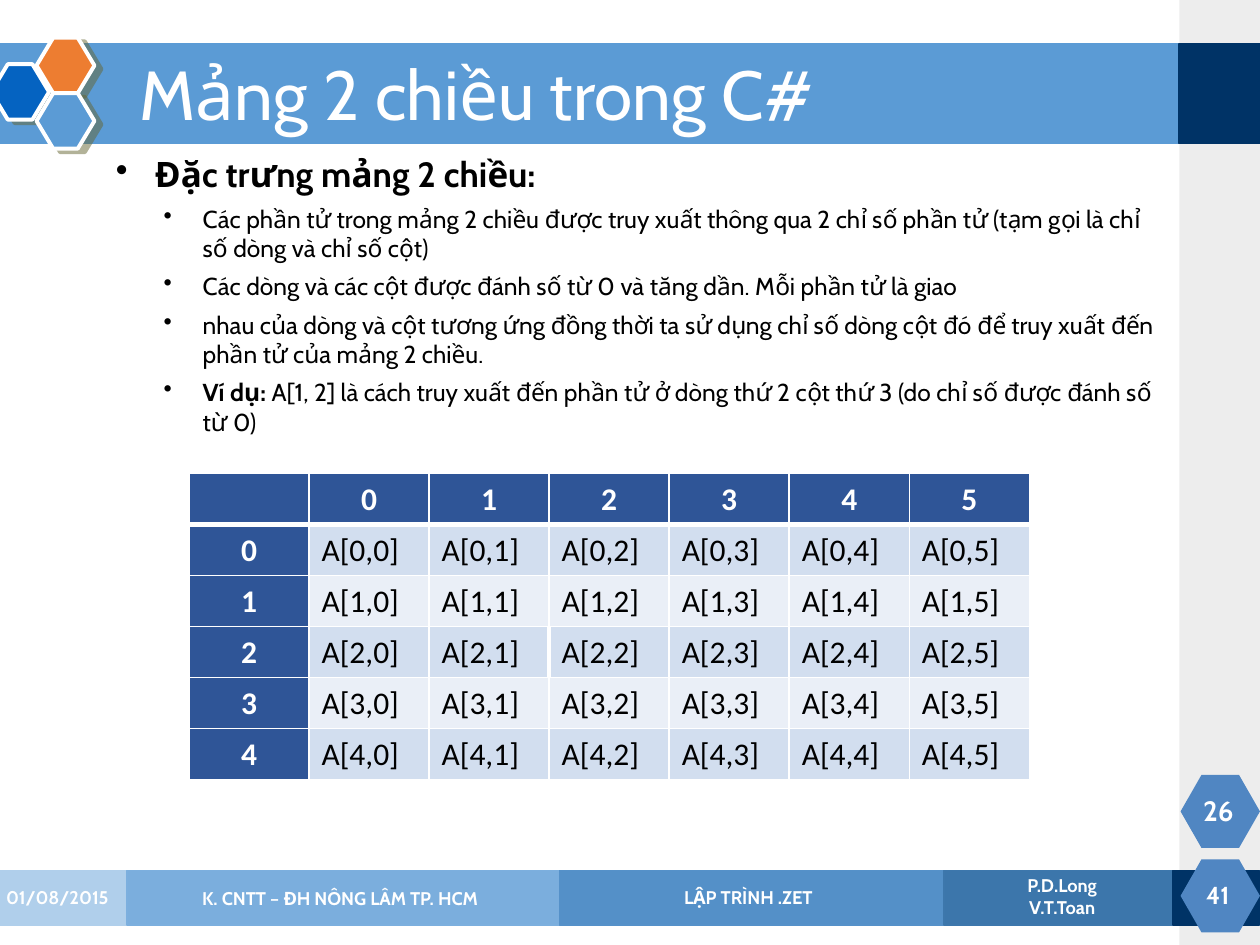
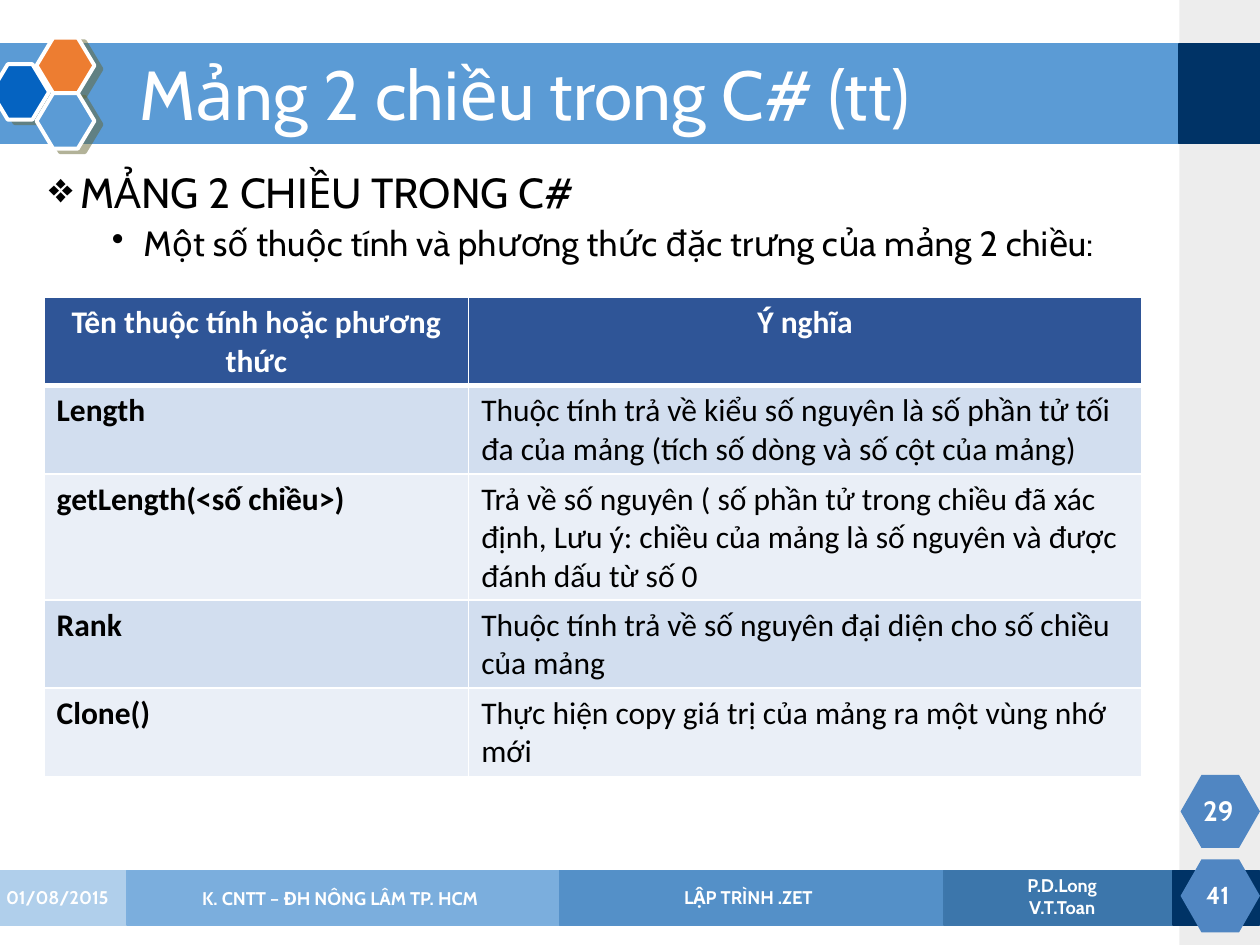
import pptx
import pptx.util
import pptx.dml.color
import pptx.enum.shapes
import pptx.enum.text
import pptx.oxml
import pptx.oxml.ns
from lxml import etree

Inches, Pt = pptx.util.Inches, pptx.util.Pt
SHAPE = pptx.enum.shapes.MSO_SHAPE
ALIGN = pptx.enum.text.PP_ALIGN
ANCHOR = pptx.enum.text.MSO_ANCHOR
qn = pptx.oxml.ns.qn

COLORS = {
    "white": "FFFFFF", "black": "000000", "gray": "A7A7A7",
    "blue": "5B9BD5", "navy": "003366", "royal": "0563C1",
    "orange": "ED7D31", "badge": "5086C2", "shadow": "666633",
    "header": "2F5597", "odd_row": "D2DEEF", "even_row": "EAEFF7",
    "date_band": "7CAFDE", "date_edge": "B0CFEB",
    "school_band": "478FD1", "school_edge": "7CAFDE",
    "course_band": "2E74B4", "course_edge": "5591C9",
    "author_band": "255D8F", "author_edge": "3D77AC",
}
TEXT_FONT, TABLE_FONT = "Cabin", "Calibri"


def rgb(name):
    return pptx.dml.color.RGBColor.from_string(COLORS[name])


def sub(parent, tag, **attrs):
    return etree.SubElement(parent, qn(tag), {k: str(v) for k, v in attrs.items()})


def set_font(font, size, color, bold=False, name=TEXT_FONT):
    font.name, font.size, font.bold = name, Pt(size), bold
    font.color.rgb = rgb(color)


# Shapes
def add_box(slide, kind, box, fill, line=None, width=1, alpha=None):
    sp = slide.shapes.add_shape(kind, *map(Inches, box))
    sp.shadow.inherit = False
    sp.fill.solid()
    sp.fill.fore_color.rgb = rgb(fill)
    if alpha:
        color = sp.fill._xPr.find(qn("a:solidFill"))[0]
        sub(color, "a:alpha", val=alpha * 1000)
    if line:
        sp.line.color.rgb = rgb(line)
        sp.line.width = Pt(width)
    else:
        sp.line.fill.background()
    return sp


def add_hexagon(slide, box, fill, adj, line=None):
    sp = add_box(slide, SHAPE.HEXAGON, box, fill, line, 2.25)
    sp.adjustments[0] = adj
    return sp


def add_shadow(sp):
    effects = sp._element.spPr.find(qn("a:effectLst"))
    shadow = sub(effects, "a:outerShdw", dist=Pt(4.5), dir=27 * 60000,
                 algn="ctr", rotWithShape=0)
    color = sub(shadow, "a:srgbClr", val=COLORS["shadow"])
    sub(color, "a:alpha", val=50000)


# Text
def add_text_frame(slide, box, anchor=ANCHOR.MIDDLE):
    tf = slide.shapes.add_textbox(*map(Inches, box)).text_frame
    tf.word_wrap = True
    tf.vertical_anchor = anchor
    return tf


def add_label(slide, box, lines, size=10.5, align=ALIGN.CENTER):
    tf = add_text_frame(slide, box)
    tf.text = "\n".join(lines)
    for p in tf.paragraphs:
        p.alignment = align
        set_font(p.font, size, "white", True)


def add_title(slide, text):
    tf = add_text_frame(slide, (1.01, 0.4, 8.3, 0.75))
    p = tf.paragraphs[0]
    p.text, p.line_spacing = text, 0.9
    set_font(p.font, 39.6, "white")


def add_bullet(tf, runs, size, left, hang, level=1, char="•",
               spacing=None, before=5):
    """Add one bulleted paragraph; runs are (text, bold) pairs."""
    p = tf.paragraphs[0] if not tf.paragraphs[0].runs else tf.add_paragraph()
    p.level, p.space_before = level, Pt(before)
    if spacing:
        p.line_spacing = spacing
    pPr = p._p.get_or_add_pPr()
    pPr.set("marL", str(Inches(left)))
    pPr.set("indent", str(-Inches(hang)))
    sub(pPr, "a:buChar", char=char)
    set_font(p.font, size, "black")
    for text, bold in runs:
        r = p.add_run()
        r.text, r.font.bold = text, bold


# Tables
def set_borders(cell, widths):
    tcPr = cell._tc.get_or_add_tcPr()
    for side in "LRTB":
        ln = sub(tcPr, "a:ln" + side, w=Pt(widths.get(side, 1)))
        sub(sub(ln, "a:solidFill"), "a:srgbClr", val=COLORS["white"])


def add_table(slide, left, top, cols, row_heights, rows, header_col, borders=None):
    """Header row on top; the first column is a header or just bold."""
    frame = slide.shapes.add_table(
        len(rows), len(cols), Inches(left), Inches(top),
        Inches(sum(cols)), Inches(sum(row_heights)))
    table = frame.table
    for column, width in zip(table.columns, cols):
        column.width = Inches(width)
    for row, height in zip(table.rows, row_heights):
        row.height = Inches(height)
    for i, values in enumerate(rows):
        for j, value in enumerate(values):
            cell = table.cell(i, j)
            is_header = i == 0 or (header_col and j == 0)
            widths = {0: {"B": 3}, 1: {"T": 3}}.get(i, {})
            set_borders(cell, (borders or {}).get((i, j), widths))
            cell.fill.solid()
            band = "odd_row" if i % 2 else "even_row"
            cell.fill.fore_color.rgb = rgb("header" if is_header else band)
            p = cell.text_frame.paragraphs[0]
            p.text = value
            p.alignment = ALIGN.CENTER if is_header else ALIGN.LEFT
            set_font(p.font, 18, "white" if is_header else "black",
                     is_header or j == 0, TABLE_FONT)


# Frame shared by the slides
def add_base(prs, title, number):
    slide = prs.slides.add_slide(prs.slide_layouts[6])
    add_box(slide, SHAPE.RECTANGLE, (9.36, 0, 0.64, 7.5), "gray", alpha=20)

    # Footer bands overlap, each running to the right edge
    for name, left, alpha in (("date", -0.02, 60), ("school", 1.01, 50),
                              ("course", 4.44, 50), ("author", 7.49, 50)):
        add_box(slide, SHAPE.RECTANGLE, (left, 6.91, 9.99 - left, 0.43),
                name + "_band", name + "_edge", alpha=alpha)

    # Title band and honeycomb
    add_box(slide, SHAPE.RECTANGLE, (-0.02, 0.35, 9.38, 0.79), "blue", "blue")
    add_box(slide, SHAPE.RECTANGLE, (9.36, 0.35, 0.64, 0.79), "navy", "navy")
    for left, top, fill in ((-0.07, 0.51, "royal"), (0.29, 0.3, "orange"),
                            (0.29, 0.74, "blue")):
        add_shadow(add_hexagon(slide, (left, top, 0.46, 0.44), fill, 0.3, "white"))

    # Number badges
    add_box(slide, SHAPE.RECTANGLE, (9.31, 6.91, 0.68, 0.43), "navy", "navy")
    for top in (6.82, 6.15):
        add_hexagon(slide, (9.37, top, 0.63, 0.58), "badge", 0.286)
    add_label(slide, (9.44, 6.9, 0.45, 0.4), ["41"], 14)
    add_label(slide, (9.37, 6.23, 0.6, 0.4), [number], 16)

    # Footer labels
    add_label(slide, (-0.05, 6.92, 1.1, 0.4), ["01/08/2015"], align=ALIGN.LEFT)
    add_label(slide, (1.01, 6.93, 3.38, 0.4), ["K. CNTT – ĐH NÔNG LÂM TP. HCM"])
    add_label(slide, (4.46, 6.98, 2.96, 0.28), ["LẬP TRÌNH .ZET"])
    add_label(slide, (7.55, 6.91, 1.76, 0.4), ["P.D.Long", "V.T.Toan"])
    add_title(slide, title)
    return slide


def add_features_slide(prs):
    slide = add_base(prs, "Mảng 2 chiều trong C#", "26")
    tf = add_text_frame(slide, (0.69, 1.2, 8.62, 2.5), ANCHOR.TOP)
    add_bullet(tf, [("Đặc trưng mảng 2 chiều:", True)], 20, 0.44, 0.31, spacing=0.9)
    for runs in (
        [("Các phần tử trong mảng 2 chiều được truy xuất thông qua 2 chỉ số "
          "phần tử (tạm gọi là chỉ số dòng và chỉ số cột)", False)],
        [("Các dòng và các cột được đánh số từ 0 và tăng dần. "
          "Mỗi phần tử là giao", False)],
        [("nhau của dòng và cột tương ứng đồng thời ta sử dụng chỉ số dòng cột "
          "đó để truy xuất đến phần tử của mảng 2 chiều.", False)],
        [("Ví dụ: ", True),
         ("A[1, 2] là cách truy xuất đến phần tử ở dòng thứ 2 cột thứ 3 "
          "(do chỉ số được đánh số từ 0)", False)],
    ):
        add_bullet(tf, runs, 14, 0.82, 0.31, level=2)

    rows = [[""] + [str(c) for c in range(6)]]
    rows += [[str(r)] + [f"A[{r},{c}]" for c in range(6)] for r in range(5)]
    add_table(slide, 1.5, 3.76, [6.67 / 7] * 7, [0.405] * 6, rows, True,
              {(3, 2): {"R": 2.25}, (3, 3): {"L": 2.25}})


def add_members_slide(prs):
    slide = add_base(prs, "Mảng 2 chiều trong C# (tt)", "29")
    tf = add_text_frame(slide, (0.29, 1.32, 9.13, 1), ANCHOR.TOP)
    add_bullet(tf, [("MẢNG 2 CHIỀU TRONG C#", False)], 24, 0.25, 0.25,
               level=0, char="❖", spacing=0.9, before=10)
    add_bullet(tf, [("Một số thuộc tính và phương thức đặc trưng của mảng 2 chiều:",
                     False)], 20, 0.75, 0.25, spacing=0.9)
    rows = [
        ("Tên thuộc tính hoặc phương thức", "Ý nghĩa"),
        ("Length", "Thuộc tính trả về kiểu số nguyên là số phần tử tối đa của "
                   "mảng (tích số dòng và số cột của mảng)"),
        ("getLength(<số chiều>)",
         "Trả về số nguyên ( số phần tử trong chiều đã xác định, Lưu ý: chiều "
         "của mảng là số nguyên và được đánh dấu từ số 0"),
        ("Rank", "Thuộc tính trả về số nguyên đại diện cho số chiều của mảng"),
        ("Clone()", "Thực hiện copy giá trị của mảng ra một vùng nhớ mới"),
    ]
    add_table(slide, 0.35, 2.36, [3.37, 5.34], [0.7, 0.7, 1, 0.7, 0.7], rows, False)


def main():
    prs = pptx.Presentation()
    prs.slide_width, prs.slide_height = Inches(10), Inches(7.5)
    add_features_slide(prs)
    add_members_slide(prs)
    prs.save("out.pptx")


if __name__ == "__main__":
    main()
